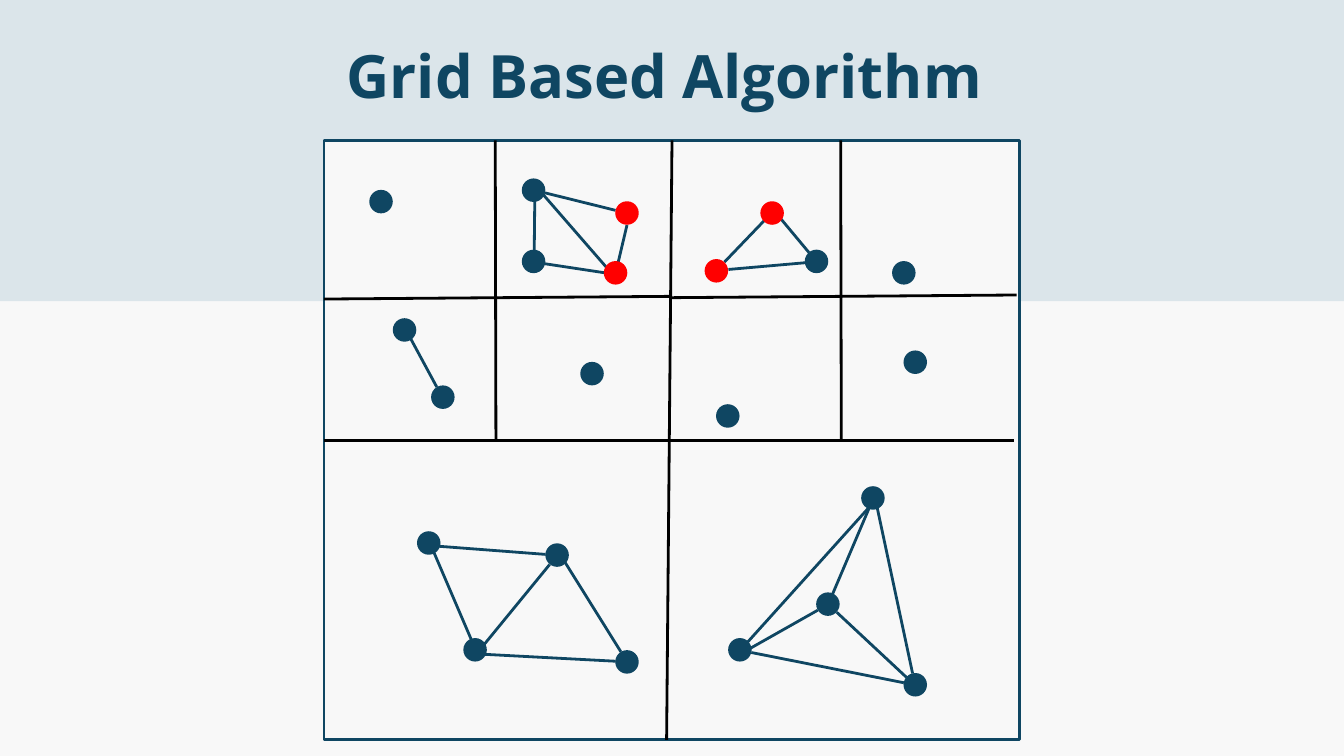
from lxml import etree
from pptx import Presentation
from pptx.dml.color import RGBColor
from pptx.enum import shapes, text
from pptx.oxml.ns import qn
from pptx.util import Inches, Pt

NAVY = RGBColor(0x0F, 0x46, 0x62)
RED = RGBColor(0xFF, 0x00, 0x00)
BLACK = RGBColor(0x00, 0x00, 0x00)
BAND = RGBColor(0xDB, 0xE5, 0xEA)
PAPER = RGBColor(0xF8, 0xF8, 0xF8)

NODE_SIZE = 0.35
LINE_WIDTH = Pt(3)

GRID_LINES = [
    (15.13, 4.39, 9.96, 4.43), (10, 4.41, 4.82, 4.45), (4.82, 6.55, 15.09, 6.55),
    (12.51, 2.09, 12.52, 6.57), (10, 2.09, 9.92, 11.01), (7.37, 2.09, 7.38, 6.57),
]
PLAIN_NODES = [
    (5.67, 3), (7.94, 2.83), (7.94, 3.89), (12.15, 3.89), (13.45, 4.06),
    (6.02, 4.91), (6.59, 5.91), (8.81, 5.56), (10.83, 6.19), (13.62, 5.39),
    (6.38, 8.08), (8.29, 8.26), (7.07, 9.67), (9.33, 9.85),
    (12.99, 7.41), (12.32, 8.99), (11.01, 9.67), (13.62, 10.19),
]
BORDER_NODES = [(9.33, 3.17), (9.16, 4.06), (11.49, 3.17), (10.66, 4.03)]
EDGES = [
    (6.02, 4.87, 6.5, 5.76),
    (7.96, 2.8, 7.95, 3.72), (9.33, 3.35, 9.2, 3.9), (9.16, 3.13, 8.11, 2.87),
    (9.2, 4.09, 8.01, 3.91), (8, 2.8, 9.2, 4.18),
    (11.5, 3.15, 10.78, 3.9), (12.04, 3.76, 11.54, 3.16), (11.98, 3.91, 10.84, 4.01),
    (8.12, 8.25, 6.28, 8.11), (9.16, 9.84, 7.08, 9.73), (7.01, 9.51, 6.41, 8.11),
    (9.24, 9.7, 8.31, 8.21), (8.18, 8.4, 7.05, 9.78),
    (13.58, 10.02, 13.01, 7.35), (11.13, 9.55, 13.05, 7.42), (11.18, 9.71, 13.45, 10.16),
    (12.39, 8.84, 12.93, 7.57), (11.02, 9.73, 12.17, 9.08), (12.45, 9.11, 13.49, 10.08),
]


def add_filled(slide, kind, left, top, width, height, fill, outline=None):
    """Add a flat preset shape, outlined only when a colour is given."""
    shape = slide.shapes.add_shape(
        kind, Inches(left), Inches(top), Inches(width), Inches(height))
    shape.shadow.inherit = False
    shape.fill.solid()
    shape.fill.fore_color.rgb = fill
    if outline is None:
        shape.line.fill.background()
    else:
        shape.line.color.rgb = outline
        shape.line.width = LINE_WIDTH


def add_line(slide, ends, color):
    """Add a straight line between two points given as x1, y1, x2, y2."""
    line = slide.shapes.add_connector(
        shapes.MSO_CONNECTOR.STRAIGHT, *(Inches(end) for end in ends))
    line.line.color.rgb = color
    line.line.width = LINE_WIDTH
    etree.SubElement(line._element.spPr, qn("a:effectLst"))


def add_node(slide, center, color):
    """Add a graph node around its centre."""
    x, y = center
    add_filled(slide, shapes.MSO_SHAPE.OVAL, x - NODE_SIZE / 2, y - NODE_SIZE / 2,
               NODE_SIZE, NODE_SIZE, color)


def add_title(slide, wording):
    """Add the centred slide title."""
    title = slide.shapes.add_textbox(
        Inches(4.33), Inches(0.4), Inches(11.11), Inches(1.2))
    frame = title.text_frame
    frame.word_wrap = True
    frame.margin_left = frame.margin_top = frame.margin_right = frame.margin_bottom = 0
    frame.text = wording
    paragraph = frame.paragraphs[0]
    paragraph.alignment = text.PP_ALIGN.CENTER
    paragraph.line_spacing = Pt(89.6)
    font = paragraph.runs[0].font
    font.name = "Open Sans"
    font.size = Pt(64)
    font.bold = True
    font.color.rgb = NAVY


def main():
    """Build the slide and save it."""
    deck = Presentation()
    deck.slide_width, deck.slide_height = Inches(20), Inches(11.25)
    slide = deck.slides.add_slide(deck.slide_layouts[6])
    slide.background.fill.solid()
    slide.background.fill.fore_color.rgb = PAPER

    add_filled(slide, shapes.MSO_SHAPE.RECTANGLE, 0, 0, 20, 4.48, BAND)
    add_filled(slide, shapes.MSO_SHAPE.RECTANGLE, 4.82, 2.09, 10.35, 8.91, PAPER, NAVY)
    for ends in GRID_LINES:
        add_line(slide, ends, BLACK)
    for ends in EDGES:
        add_line(slide, ends, NAVY)
    for center in PLAIN_NODES:
        add_node(slide, center, NAVY)
    for center in BORDER_NODES:
        add_node(slide, center, RED)
    add_title(slide, "Grid Based Algorithm")
    deck.save("out.pptx")


if __name__ == "__main__":
    main()
